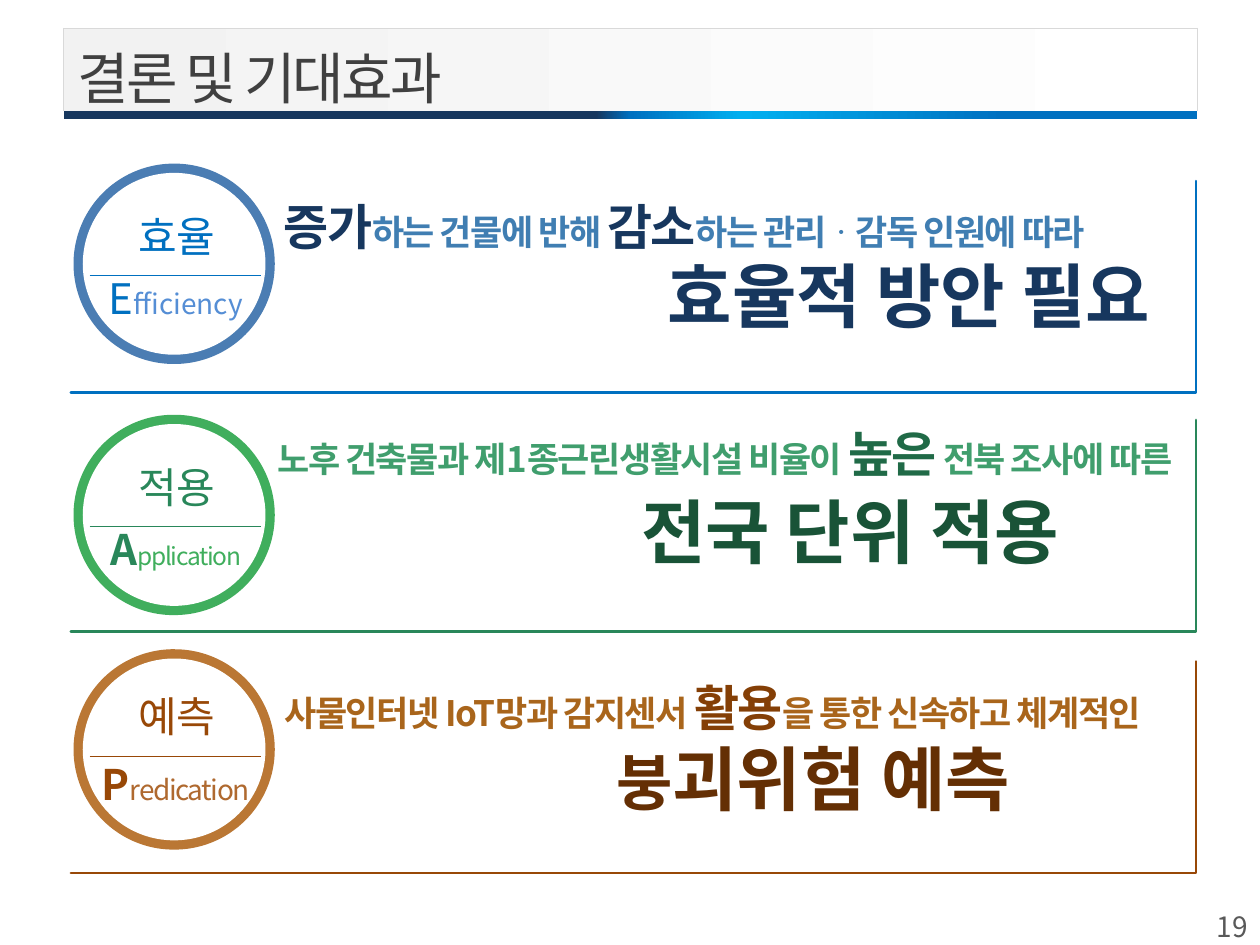
from lxml.etree import SubElement as Sub
from pptx import Presentation
from pptx.dml.color import RGBColor as Rgb
from pptx.enum.shapes import MSO_CONNECTOR as Conn, MSO_SHAPE as Kind
from pptx.enum.text import MSO_ANCHOR as Anchor, MSO_AUTO_SIZE as Fit, PP_ALIGN as Align
from pptx.oxml.ns import qn
from pptx.util import Pt

FONT = "Noto Sans CJK KR"
HEX = {
    "white": "FFFFFF", "panel": "F2F2F2", "edge": "D9D9D9",
    "title": "404040", "page": "595959",
    "navy": "17375E", "blue": "0070C0", "sky": "00B0F0",
    "steel": "4B7DB3", "azure": "407EB2", "pale": "558ED5",
    "green": "29875A", "leaf": "40AE5D", "mint": "409E6D",
    "pine": "206A47", "forest": "195337",
    "brown": "984807", "tan": "BA7734", "clay": "AF692F",
    "amber": "A9651B", "rust": "843F06", "cocoa": "642F04",
}


def tint(name):
    """Return the named colour."""
    return Rgb.from_string(HEX[name])


def blend(shape, stops, angle=0):
    """Fill a shape with a gradient of (percent, colour) stops."""
    shape.fill.gradient()
    shape.fill.gradient_angle = angle
    grad = shape._element.spPr.find(qn("a:gradFill"))
    gs_list = grad.find(qn("a:gsLst"))
    for old in list(gs_list):
        gs_list.remove(old)
    for pos, name in stops:
        stop = Sub(gs_list, qn("a:gs"), pos=str(pos * 1000))
        Sub(stop, qn("a:srgbClr"), val=HEX[name])


def block(slide, kind, box, color=None):
    """Add a preset shape without outline or shadow."""
    shape = slide.shapes.add_shape(kind, *map(Pt, box))
    shape.shadow.inherit = False
    shape.line.fill.background()
    if color:
        shape.fill.solid()
        shape.fill.fore_color.rgb = tint(color)
    return shape


def rule(slide, ends, color, width):
    """Draw a straight line between two points."""
    line = slide.shapes.add_connector(Conn.STRAIGHT, *map(Pt, ends))
    line.line.color.rgb = tint(color)
    line.line.width = Pt(width)
    Sub(line._element.spPr, qn("a:effectLst"))


def write(frame, runs, align=Align.LEFT, space=None, wrap=True):
    """Fill a text frame with (text, size, colour, bold, tracking) runs."""
    frame.word_wrap = wrap
    frame.auto_size = Fit.NONE
    frame.vertical_anchor = Anchor.TOP
    para = frame.paragraphs[0]
    para.alignment = align
    para.line_spacing = space
    for text, size, color, bold, track in runs:
        run = para.add_run()
        run.text = text
        font = run.font
        font.size, font.bold, font.name = Pt(size), bold, FONT
        font.color.rgb = tint(color)
        props = run._r.get_or_add_rPr()
        props.set("spc", str(round(track * 100)))
        Sub(props, qn("a:ea"), typeface=FONT)


def label(slide, box, runs, **style):
    """Add a text box."""
    write(slide.shapes.add_textbox(*map(Pt, box)).text_frame, runs, **style)


def header(slide, box, text):
    """Place the title panel, its gradient bar and the title."""
    x, y, w, h = box
    panel = block(slide, Kind.RECTANGLE, box)
    blend(panel, [(0, "panel"), (100, "white")])
    for ends in ((x, y, x + w, y), (x, y, x, y + h), (x + w, y, x + w, y + h)):
        rule(slide, ends, "edge", 0.5)
    bar = block(slide, Kind.RECTANGLE, (x, y + h, w, 4.5))
    blend(bar, [(0, "navy"), (47, "navy"), (50, "blue"),
                (60, "sky"), (83, "blue"), (100, "blue")])
    title = slide.shapes.title
    title.left, title.top, title.width, title.height = map(
        Pt, (x + 0.5, y + 5.5, 260, 46))
    write(title.text_frame, [(text, 32, "title", False, -1.5)], wrap=False)
    tree = slide.shapes._spTree
    tree.remove(title._element)
    tree.append(title._element)


def badge(slide, x, y, mid, name, word, ring, line):
    """Place a ring with a Korean name above an English word."""
    for inset, color in ((0, ring), (5.3, "white")):
        disc = block(slide, Kind.ROUNDED_RECTANGLE,
                     (x + inset, y + inset, 115 - 2 * inset, 114.5 - 2 * inset), color)
        disc.adjustments[0] = 0.5
    label(slide, (x + 7, y + mid - 41, 104, 36), [name], align=Align.CENTER)
    label(slide, (x + 4, y + 68.5, 109, 29), word, align=Align.CENTER, space=Pt(19))
    rule(slide, (x + 9.3, y + mid, x + 107.3, y + mid), line, 0.25)


def corner(slide, box, color):
    """Draw the bottom and right edges of a box."""
    x, y, w, h = box
    pen = slide.shapes.build_freeform(Pt(x), Pt(y + h))
    pen.add_line_segments(
        [(Pt(x + w), Pt(y + h)), (Pt(x + w), Pt(y))], close=False)
    edge = pen.convert_to_shape()
    edge.shadow.inherit = False
    edge.fill.background()
    edge.line.color.rgb = tint(color)
    edge.line.width = Pt(1.5)
    edge.line._get_or_add_ln().set("cap", "rnd")


def band(slide, box, row):
    """Place one conclusion: badge, lead, claim and corner."""
    x, y = box[:2]
    corner(slide, box, row["line"])
    badge(slide, x + 1.5, y + row["lift"], row["mid"],
          row["name"], row["word"], row["ring"], row["line"])
    for part in ("claim", "lead"):
        dx, dy, w, h = row[part + "_at"]
        label(slide, (x + dx, y + dy, w, h), row[part], space=0.8)


def lead(color, strong, *texts):
    """Make lead runs; texts marked with * are large."""
    return [(t[1:], 28, strong, True, -0.9) if t.startswith("*")
            else (t, 20, color, True, -0.9) for t in texts]


ROWS = [
    dict(line="blue", ring="steel", lift=-10, mid=64,
         name=("효율", 24, "blue", False, 0),
         word=[("E", 24, "blue", False, 0), ("fficiency", 16, "pale", False, 0)],
         lead_at=(114.5, 12, 495, 36),
         lead=lead("azure", "navy", "*증가", "하는 건물에 반해 ", "*감소",
                   "하는 관리ᆞ감독 인원에 따라"),
         claim_at=(334, 46.5, 300, 48),
         claim=[("효율적 방안 필요", 40, "navy", True, 0)]),
    dict(line="green", ring="leaf", lift=-3, mid=64,
         name=("적용", 24, "green", False, 0),
         word=[("A", 24, "green", True, -0.8),
               ("pplication", 14, "leaf", False, -0.8)],
         lead_at=(111, 5, 533.5, 36),
         lead=lead("mint", "pine", "노후 건축물과 제1종근린생활시설 비율이 ",
                   "*높은", " 전북 조사에 따른"),
         claim_at=(319, 45, 316, 48),
         claim=[("전국 단위 적용", 40, "forest", True, 0)]),
    dict(line="brown", ring="tan", lift=-7, mid=61,
         name=("예측", 24, "brown", False, 0),
         word=[("P", 24, "brown", True, -0.8),
               ("redication", 16, "clay", False, -0.8)],
         lead_at=(115, 12, 506, 36),
         lead=lead("amber", "rust", "사물인터넷 IoT망과 감지센서 ", "*활용",
                   "을 통한 신속하고 체계적인"),
         claim_at=(304.5, 48, 327, 48),
         claim=[("붕", 35, "cocoa", True, 0), ("괴위험 예측", 40, "cocoa", True, 0)]),
]


def main():
    """Build and save the slide."""
    deck = Presentation()
    deck.slide_width, deck.slide_height = Pt(720), Pt(540)
    slide = deck.slides.add_slide(deck.slide_layouts[5])
    header(slide, (36.5, 16, 647.5, 47.7), "결론 및 기대효과")
    for top, row in zip((103.5, 240, 378), ROWS):
        band(slide, (40.5, top, 643, 120.8), row)
    label(slide, (680, 516, 40, 27), [("19", 16, "page", False, 0)],
          align=Align.RIGHT, wrap=False)
    deck.save("out.pptx")


if __name__ == "__main__":
    main()
